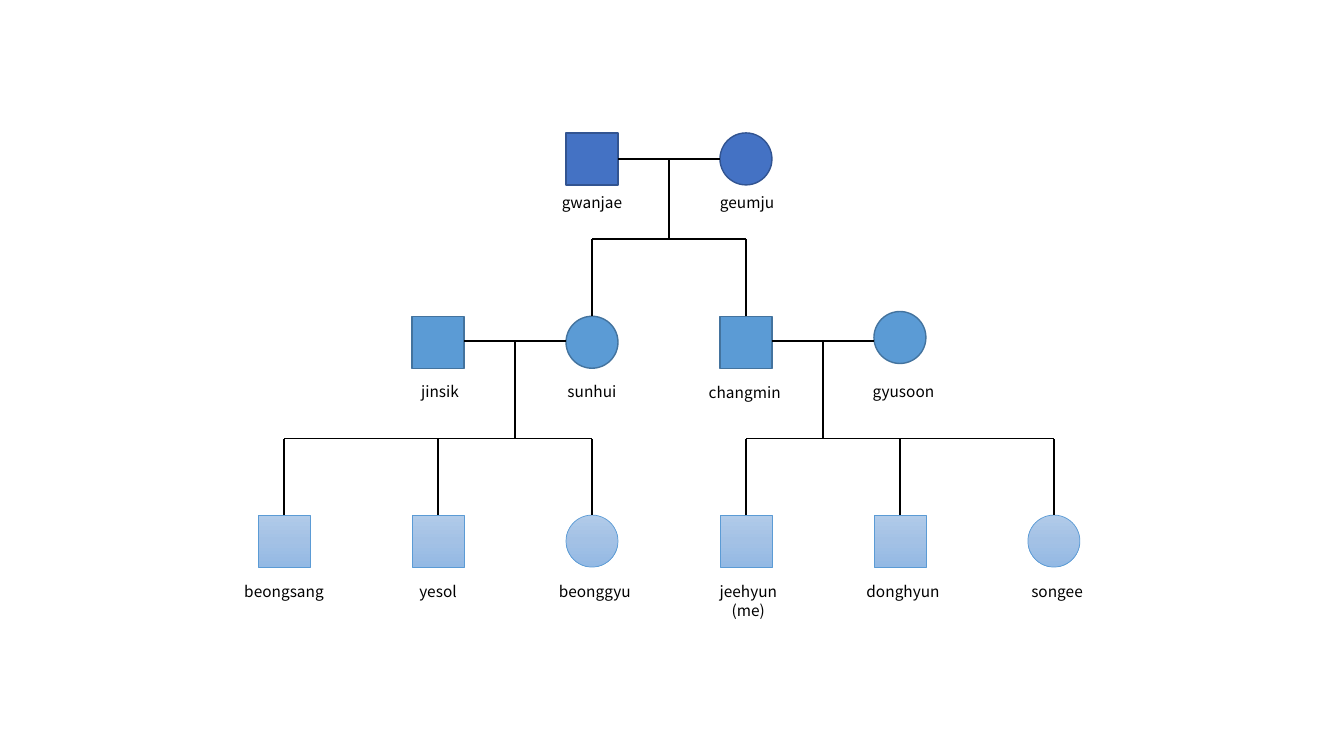
from copy import deepcopy
from dataclasses import dataclass

from pptx import Presentation
from pptx.dml.color import RGBColor
from pptx.enum.shapes import MSO_CONNECTOR, MSO_SHAPE
from pptx.enum.text import MSO_AUTO_SIZE, PP_ALIGN
from pptx.oxml.ns import qn
from pptx.util import Cm, Pt

MALE, FEMALE = MSO_SHAPE.RECTANGLE, MSO_SHAPE.OVAL
STRAIGHT = MSO_CONNECTOR.STRAIGHT
CENTER = PP_ALIGN.CENTER
GROW = MSO_AUTO_SIZE.SHAPE_TO_FIT_TEXT

FONT = "Noto Sans CJK KR"
BLACK = "000000"

# Layout grid, in centimetres
FIRST_COLUMN, COLUMN_STEP = 7.16, 3.88
SYMBOL_SIZE = 1.31
LABEL_LINE, LABEL_PADDING = 0.46, 0.28


@dataclass(frozen=True)
class Generation:
    symbol_top: float
    label_top: float
    fills: tuple[str, ...]
    outline: str
    outline_width: float


@dataclass(frozen=True)
class Person:
    name: str
    symbol: int
    generation: Generation
    column: int
    label_width: float = 2.16
    label_shift: float = 0
    label_drop: float = 0
    symbol_rise: float = 0


@dataclass(frozen=True)
class Family:
    parents: tuple[int, int]
    children: tuple[int, ...]
    couple_y: float
    siblings_y: float
    children_generation: Generation


GRANDPARENTS = Generation(3.35, 4.75, ("4472C4",), "325491", 1)
PARENTS = Generation(7.97, 9.5, ("5B9BD5",), "43739E", 1)
CHILDREN = Generation(12.98, 14.55, ("B1CBE9", "A3C1E5", "93B9E4"), "5B9BD5", 0.5)

PEOPLE = [
    Person("gwanjae", MALE, GRANDPARENTS, 2),
    Person("geumju", FEMALE, GRANDPARENTS, 3, label_shift=0.03),
    Person("jinsik", MALE, PARENTS, 1, label_shift=0.05),
    Person("sunhui", FEMALE, PARENTS, 2),
    Person("changmin", MALE, PARENTS, 3, 2.34, -0.03, label_drop=0.03),
    Person("gyusoon", FEMALE, PARENTS, 4, label_shift=0.09, symbol_rise=0.12),
    Person("beongsang", MALE, CHILDREN, 0, 2.54),
    Person("yesol", MALE, CHILDREN, 1),
    Person("beonggyu", FEMALE, CHILDREN, 2, 2.54, 0.07),
    Person("jeehyun\n(me)", MALE, CHILDREN, 3, label_shift=0.06),
    Person("donghyun", MALE, CHILDREN, 4, 2.54, 0.08),
    Person("songee", FEMALE, CHILDREN, 5, 2.54, 0.08),
]

FAMILIES = [
    Family((2, 3), (2, 3), 4.01, 6.02, PARENTS),
    Family((1, 2), (0, 1, 2), 8.59, 11.05, CHILDREN),
    Family((3, 4), (3, 4, 5), 8.59, 11.05, CHILDREN),
]


def color(value: str) -> RGBColor:
    return RGBColor.from_string(value)


def column_x(column: int) -> float:
    return FIRST_COLUMN + column * COLUMN_STEP


def apply_fill(shape, colors: tuple[str, ...]) -> None:
    """Fill solid for one colour, or top to bottom through three."""
    if len(colors) == 1:
        shape.fill.solid()
        shape.fill.fore_color.rgb = color(colors[0])
        return
    shape.fill.gradient()
    shape.fill.gradient_angle = 270
    stop_list = next(shape.element.iter(qn("a:gsLst")))
    stop_list.insert(1, deepcopy(stop_list[0]))
    for index, stop in enumerate(shape.fill.gradient_stops):
        stop.position = index / (len(colors) - 1)
        stop.color.rgb = color(colors[index])


def draw_symbol(shapes, person: Person) -> None:
    generation = person.generation
    symbol = shapes.add_shape(
        person.symbol,
        Cm(column_x(person.column) - SYMBOL_SIZE / 2),
        Cm(generation.symbol_top - person.symbol_rise),
        Cm(SYMBOL_SIZE), Cm(SYMBOL_SIZE))
    symbol.shadow.inherit = False
    apply_fill(symbol, generation.fills)
    symbol.line.color.rgb = color(generation.outline)
    symbol.line.width = Pt(generation.outline_width)


def draw_line(shapes, x1: float, y1: float, x2: float, y2: float) -> None:
    line = shapes.add_connector(STRAIGHT, Cm(x1), Cm(y1), Cm(x2), Cm(y2))
    line.line.color.rgb = color(BLACK)
    line.line.width = Pt(1)
    properties = line.element.spPr
    properties.append(properties.makeelement(qn("a:effectLst"), {}))


def draw_family(shapes, family: Family) -> None:
    left, right = (column_x(column) for column in family.parents)
    middle = (left + right) / 2
    children = [column_x(column) for column in family.children]
    couple_y, siblings_y = family.couple_y, family.siblings_y
    draw_line(shapes, left + SYMBOL_SIZE / 2, couple_y,
              right - SYMBOL_SIZE / 2, couple_y)
    draw_line(shapes, middle, siblings_y, middle, couple_y)
    draw_line(shapes, children[0], siblings_y, children[-1], siblings_y)
    for x in children:
        draw_line(shapes, x, family.children_generation.symbol_top, x, siblings_y)


def add_text(shapes, text: str, *, left: float, top: float, width: float,
             height: float, size: float = 11, font: str = FONT,
             text_color: str = BLACK, align: int = CENTER) -> None:
    box = shapes.add_textbox(Cm(left), Cm(top), Cm(width), Cm(height))
    frame = box.text_frame
    frame.word_wrap = True
    frame.auto_size = GROW
    frame.text = text
    for paragraph in frame.paragraphs:
        paragraph.alignment = align
        for run in paragraph.runs:
            run.font.size = Pt(size)
            run.font.name = font
            run.font.color.rgb = color(text_color)


def draw_label(shapes, person: Person) -> None:
    line_count = len(person.name.splitlines())
    add_text(shapes, person.name,
             left=column_x(person.column) + person.label_shift - person.label_width / 2,
             top=person.generation.label_top + person.label_drop,
             width=person.label_width,
             height=LABEL_PADDING + line_count * LABEL_LINE)


presentation = Presentation()
presentation.slide_width, presentation.slide_height = Cm(33.87), Cm(19.05)
slide = presentation.slides.add_slide(presentation.slide_layouts[6])

# Family members
for member in PEOPLE:
    draw_symbol(slide.shapes, member)

# Marriage and descent lines
family_lines = slide.shapes.add_group_shape()
for household in FAMILIES:
    draw_family(family_lines.shapes, household)

# Names
for member in PEOPLE:
    draw_label(slide.shapes, member)

presentation.save("out.pptx")
